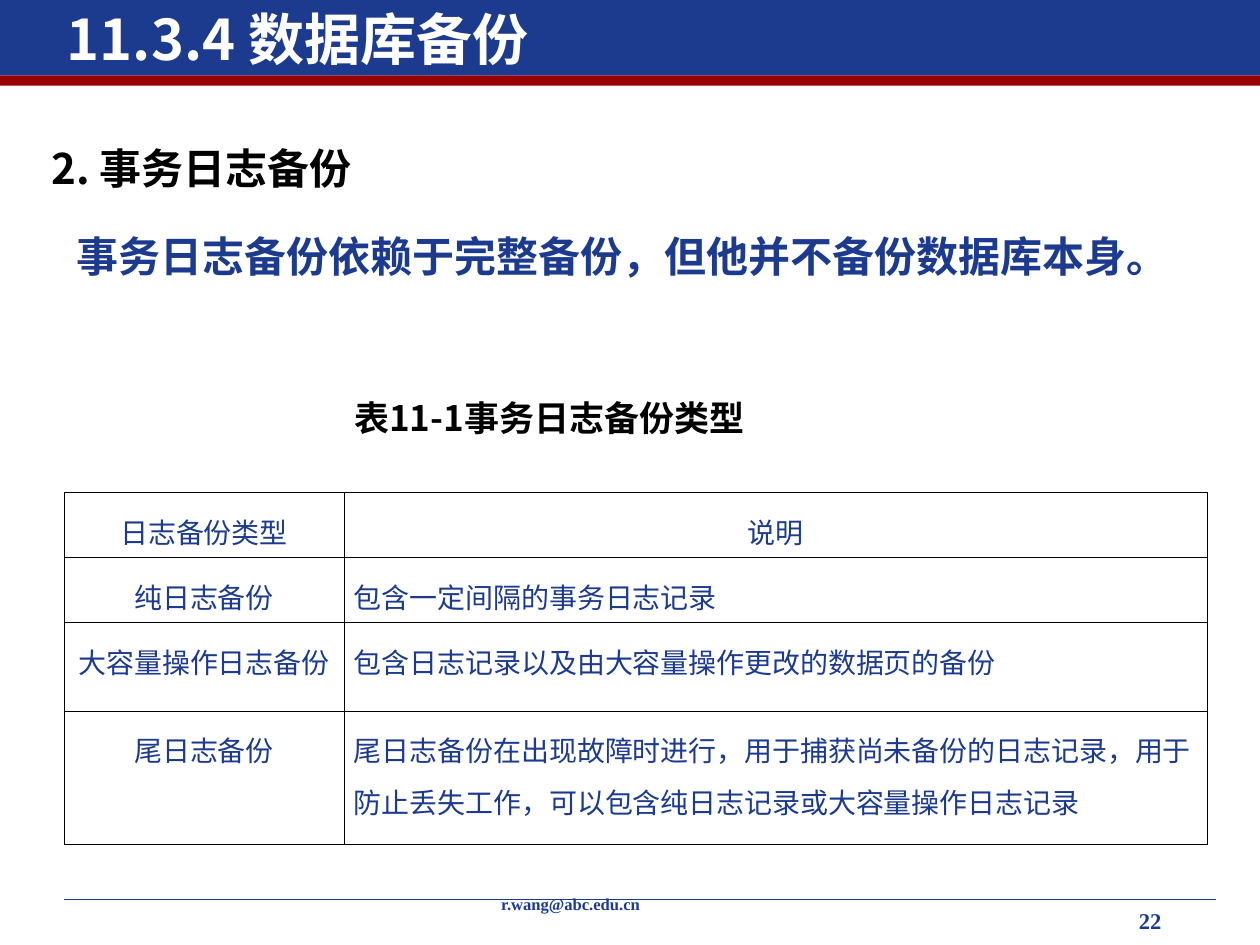
from lxml.etree import SubElement
from pptx import Presentation
from pptx.dml.color import RGBColor
from pptx.enum.shapes import MSO_CONNECTOR, MSO_SHAPE
from pptx.enum.text import MSO_ANCHOR, MSO_AUTO_SIZE, PP_ALIGN as AL
from pptx.oxml.ns import qn
from pptx.util import Inches, Pt

COLORS = {"blue": "1C3A8E", "red": "990000", "black": "000000", "white": "FFFFFF"}
SANS, SERIF = "Noto Sans CJK SC", "Times New Roman"
W, H = 10, 7.5

TITLE = "11.3.4 数据库备份 "
BANDS = [(-0.03, 0.63, "blue"), (0.6, 0.08, "red")]  # top, height, colour
HANGING = dict(font=SANS, color="black", align=AL.JUSTIFY, hang=0.79, inset=0)
TEXTS = [  # text, box, size, format
    ("22", (8.94, 7.17, 1.06, 0.33), 12.9, dict(spacing=0.9)),
    ("r.wang@abc.edu.cn", (3.88, 7.08, 3.17, 0.27), 9.5, dict(spacing=0.8)),
    ("2. 事务日志备份", (0.41, 1.08, 8.9, 0.5), 24, HANGING),
    ("事务日志备份依赖于完整备份，但他并不备份数据库本身。",
     (0.51, 1.58, 8.98, 0.7), 24, dict(spacing=1.5)),
    ("表11-1事务日志备份类型", (2.81, 3.1, 4.02, 0.44), 20, HANGING),
]
ROWS = [
    ("日志备份类型", "说明"),
    ("纯日志备份", "包含一定间隔的事务日志记录"),
    ("大容量操作日志备份", "包含日志记录以及由大容量操作更改的数据页的备份"),
    ("尾日志备份", "尾日志备份在出现故障时进行，用于捕获尚未备份的日志记录，"
                   "用于防止丢失工作，可以包含纯日志记录或大容量操作日志记录"),
]
COL_WIDTHS, ROW_HEIGHTS = (2.22, 6.85), (0.43, 0.43, 0.7, 1.06)


def rgb(name):
    """Return the named colour."""
    return RGBColor.from_string(COLORS[name])


def write(tf, text, size, font=SERIF, color="blue", bold=True,
          align=AL.LEFT, spacing=1.0, hang=0):
    """Put one formatted paragraph in a text frame."""
    p = tf.paragraphs[0]
    r = p.add_run()
    r.text = text
    p.alignment, p.line_spacing = align, spacing
    p.space_before = p.space_after = Pt(0)
    if hang:
        pPr = p._p.get_or_add_pPr()
        pPr.set("marL", str(Inches(hang)))
        pPr.set("indent", str(-Inches(hang)))
    r.font.name, r.font.size, r.font.bold = font, Pt(size), bold
    r.font.color.rgb = rgb(color)
    SubElement(r._r.rPr, qn("a:ea"), typeface=SANS)


def add_text(s, text, box, size, inset=0.1, **fmt):
    """Add a wrapped text box."""
    tf = s.shapes.add_textbox(*map(Inches, box)).text_frame
    tf.word_wrap = True
    tf.margin_left = tf.margin_right = Inches(inset)
    write(tf, text, size, **fmt)


def add_borders(cell):
    """Draw a thin black line on every side of a cell."""
    tcPr = cell._tc.get_or_add_tcPr()
    for i, side in enumerate(("lnL", "lnR", "lnT", "lnB")):
        ln = tcPr.makeelement(qn(f"a:{side}"), {"w": str(Pt(0.45))})
        fill = SubElement(ln, qn("a:solidFill"))
        SubElement(fill, qn("a:srgbClr"), val=COLORS["black"])
        tcPr.insert(i, ln)


def add_backup_table(s, left, top):
    """Add the table of log backup types."""
    table = s.shapes.add_table(
        len(ROWS), len(COL_WIDTHS), Inches(left), Inches(top),
        Inches(sum(COL_WIDTHS)), Inches(sum(ROW_HEIGHTS))).table
    table.horz_banding = False
    for col, width in zip(table.columns, COL_WIDTHS):
        col.width = Inches(width)
    for i, (row, height) in enumerate(zip(table.rows, ROW_HEIGHTS)):
        row.height = Inches(height)
        for j, cell in enumerate(row.cells):
            cell.fill.background()
            cell.margin_left = cell.margin_right = Inches(0.08)
            centred = i == 0 or j == 0
            write(cell.text_frame, ROWS[i][j], 16, bold=False, spacing=1.3,
                  align=AL.CENTER if centred else AL.LEFT)
            add_borders(cell)


prs = Presentation()
prs.slide_width, prs.slide_height = Inches(W), Inches(H)
s = prs.slides.add_slide(prs.slide_layouts[5])

for top, height, color in BANDS:
    sp = s.shapes.add_shape(MSO_SHAPE.RECTANGLE, 0, Inches(top), Inches(W), Inches(height))
    sp.shadow.inherit = False
    sp.fill.solid()
    sp.fill.fore_color.rgb = rgb(color)
    sp.line.fill.background()

rule = s.shapes.add_connector(MSO_CONNECTOR.STRAIGHT, *map(Inches, (0.51, 7.14, 9.65, 7.14)))
rule.line.color.rgb, rule.line.width = rgb("blue"), Pt(0.74)
SubElement(rule._element.spPr, qn("a:effectLst"))

for text, box, size, fmt in TEXTS:
    add_text(s, text, box, size, **fmt)

title = s.shapes.title
title.left, title.top, title.width, title.height = map(Inches, (0.43, -0.03, 7.8, 0.67))
title.text_frame.vertical_anchor = MSO_ANCHOR.MIDDLE
title.text_frame.auto_size = MSO_AUTO_SIZE.NONE
write(title.text_frame, TITLE, 32, font=SANS, color="white")
s.shapes._spTree.append(title._element)  # bring the title in front of the bands

add_backup_table(s, 0.51, 3.91)
prs.save("out.pptx")
